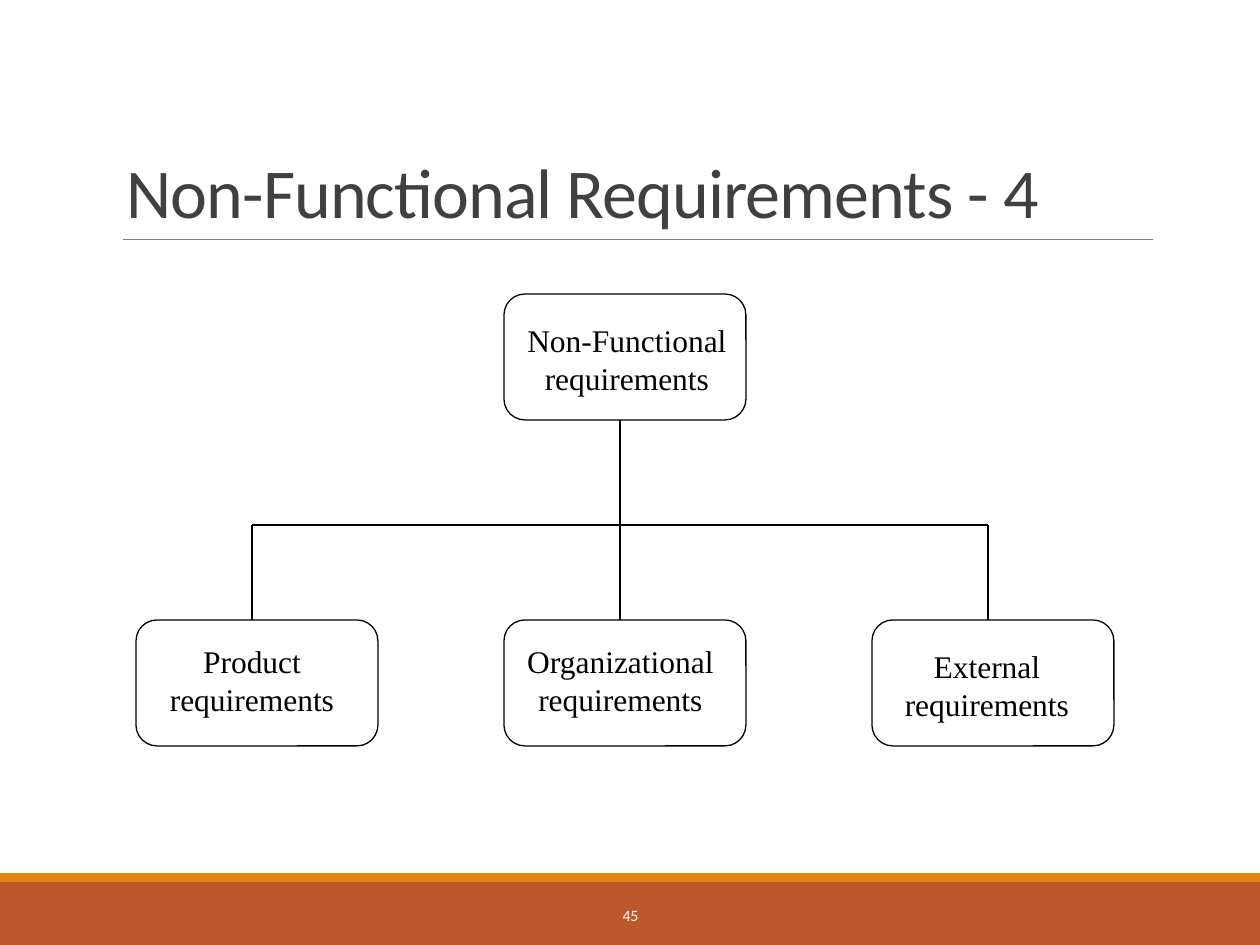
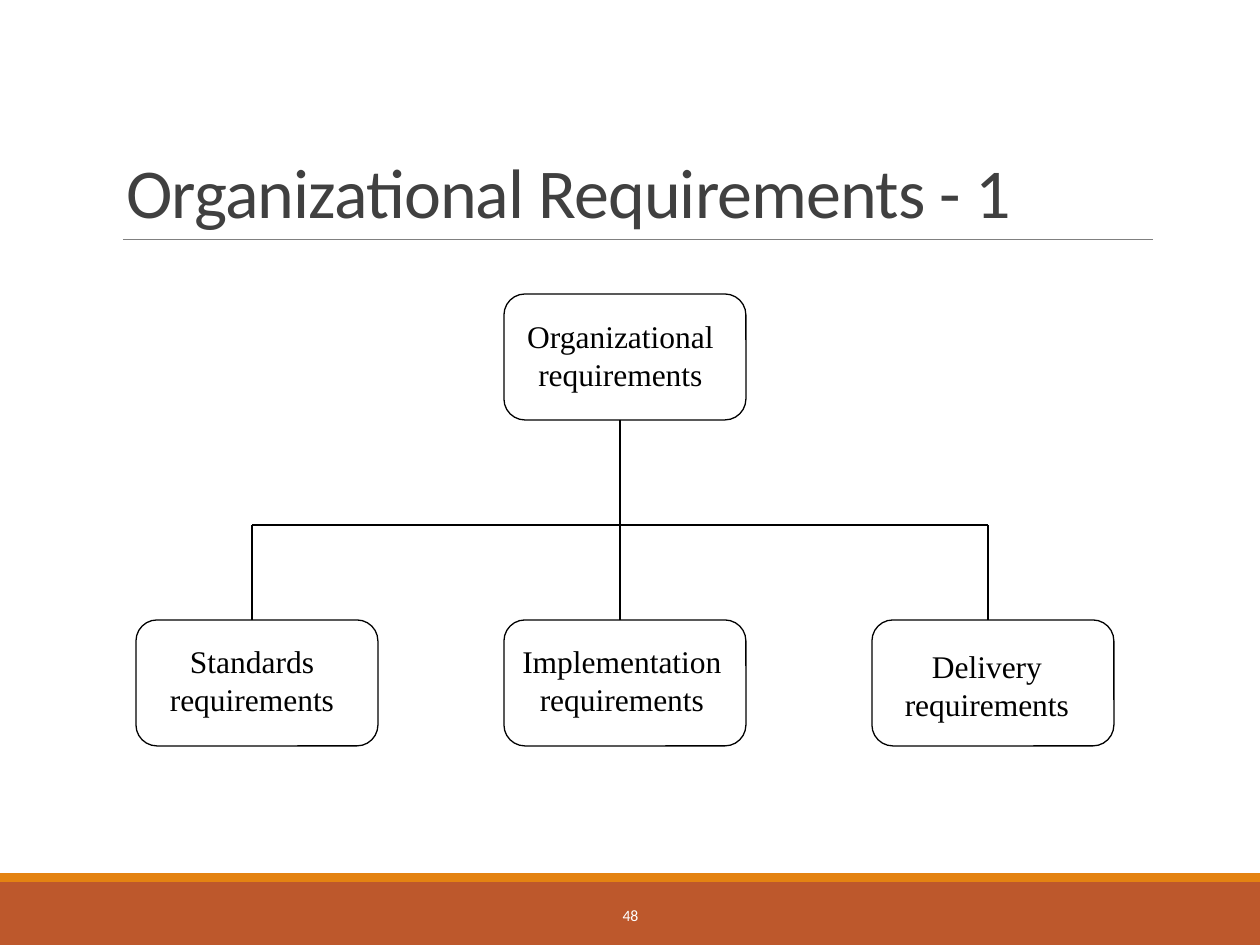
import pptx
import pptx.dml.color
import pptx.enum.shapes
import pptx.enum.text
import pptx.util
from lxml import etree
from pptx.oxml.ns import qn

RGBColor = pptx.dml.color.RGBColor
MSO_SHAPE = pptx.enum.shapes.MSO_SHAPE
MSO_ANCHOR = pptx.enum.text.MSO_ANCHOR
MSO_AUTO_SIZE = pptx.enum.text.MSO_AUTO_SIZE
PP_ALIGN = pptx.enum.text.PP_ALIGN

# Shared look
RUST = RGBColor(0xBD, 0x58, 0x2C)
ORANGE = RGBColor(0xE4, 0x83, 0x12)
GRAY = RGBColor(0x80, 0x80, 0x80)
DARK = RGBColor(0x40, 0x40, 0x40)
BLACK = RGBColor(0, 0, 0)
WHITE = RGBColor(0xFF, 0xFF, 0xFF)
HEADING_FONT = "Calibri"
LABEL_FONT = "Times New Roman"

PIXELS_PER_INCH = 126
SLIDE_WIDTH, SLIDE_HEIGHT = 1260, 945

# Tree geometry
BOX_WIDTH, BOX_HEIGHT = 242, 126
COLUMNS = [136 + 368 * column for column in range(3)]
ROOT_TOP, CHILD_TOP, BRANCH_Y = 294, 620, 525
STEM_OFFSET = 116  # stems run slightly left of each box's middle
LABEL_HEIGHT = 88


def px(length):
    return pptx.util.Emu(round(length * 914400 / PIXELS_PER_INCH))


def write_text(frame, text, font=HEADING_FONT, size=18, color=BLACK,
               align=PP_ALIGN.CENTER, anchor=MSO_ANCHOR.TOP, wrap=True,
               auto_size=MSO_AUTO_SIZE.NONE, line_spacing=None, tracking=None):
    """Fill a text frame, one paragraph for each line of the text."""
    frame.word_wrap = wrap
    frame.auto_size = auto_size
    frame.vertical_anchor = anchor
    for index, line in enumerate(text.split("\n")):
        paragraph = frame.add_paragraph() if index else frame.paragraphs[0]
        paragraph.alignment = align
        paragraph.line_spacing = line_spacing
        run = paragraph.add_run()
        run.text = line
        run.font.name = font
        run.font.size = pptx.util.Pt(size)
        run.font.color.rgb = color
        if tracking is not None:
            run._r.get_or_add_rPr().set("spc", str(round(tracking * 100)))


class Deck:
    def __init__(self):
        self.presentation = pptx.Presentation()
        self.presentation.slide_width = px(SLIDE_WIDTH)
        self.presentation.slide_height = px(SLIDE_HEIGHT)
        self.slide = None

    def start_slide(self, title, number):
        layout = self.presentation.slide_layouts.get_by_name("Title Only")
        self.slide = self.presentation.slides.add_slide(layout)
        # Footer bands and title rule
        self.box(0, 882, SLIDE_WIDTH, 63, fill=RUST)
        self.box(0, 873, SLIDE_WIDTH, 9, fill=ORANGE)
        self.line(123, 239, 1153, 239, color=GRAY, width=0.5)
        # Title and slide number
        self.title(title)
        self.text(str(number), 381, 890, 499, 50, size=9, color=WHITE,
                  anchor=MSO_ANCHOR.MIDDLE)

    def title(self, text):
        shape = self.slide.shapes.title
        shape.left, shape.top, shape.width, shape.height = map(px, (114, 39, 1040, 200))
        write_text(shape.text_frame, text, size=40, color=DARK, align=PP_ALIGN.LEFT,
                   anchor=MSO_ANCHOR.BOTTOM, line_spacing=0.85, tracking=-0.5)

    def text(self, text, left, top, width, height, **style):
        shape = self.slide.shapes.add_textbox(*map(px, (left, top, width, height)))
        write_text(shape.text_frame, text, **style)

    def box(self, left, top, width, height, kind=MSO_SHAPE.RECTANGLE,
            fill=None, outline=None):
        shape = self.slide.shapes.add_shape(kind, *map(px, (left, top, width, height)))
        shape.shadow.inherit = False
        if fill is None:
            shape.fill.background()
        else:
            shape.fill.solid()
            shape.fill.fore_color.rgb = fill
        if outline is None:
            shape.line.fill.background()
        else:
            shape.line.color.rgb = outline
            shape.line.width = pptx.util.Pt(0.75)

    def line(self, x1, y1, x2, y2, color=BLACK, width=0.75):
        connector = self.slide.shapes.add_connector(
            pptx.enum.shapes.MSO_CONNECTOR.STRAIGHT, *map(px, (x1, y1, x2, y2)))
        connector.line.color.rgb = color
        connector.line.width = pptx.util.Pt(width)
        etree.SubElement(connector._element.spPr, qn("a:effectLst"))

    def tree(self, labels):
        # Boxes: the root above the middle child
        corners = [(COLUMNS[1], ROOT_TOP)] + [(left, CHILD_TOP) for left in COLUMNS]
        for left, top in corners:
            self.box(left, top, BOX_WIDTH, BOX_HEIGHT,
                     kind=MSO_SHAPE.ROUNDED_RECTANGLE, outline=BLACK)
        # Branches
        first, middle, last = [left + STEM_OFFSET for left in COLUMNS]
        self.line(middle, ROOT_TOP + BOX_HEIGHT, middle, CHILD_TOP)
        for stem in (first, last):
            self.line(stem, CHILD_TOP, stem, BRANCH_Y)
        self.line(first, BRANCH_Y, last, BRANCH_Y)
        # Labels
        for word, left, top, width in labels:
            self.text(f"{word}\nrequirements", left, top, width, LABEL_HEIGHT,
                      font=LABEL_FONT, wrap=False,
                      auto_size=MSO_AUTO_SIZE.SHAPE_TO_FIT_TEXT)


# Title, slide number, then labels as word, left, top, width;
# each width leaves a little room beyond its longest word
SLIDES = [
    ("Non-Functional Requirements - 4", 45, [
        ("Non-Functional", 511, 315, 232),
        ("Product", 155, 636, 194),
        ("Organizational", 511, 636, 219),
        ("External", 890, 641, 194),
    ]),
    ("Organizational Requirements - 1", 48, [
        ("Organizational", 511, 311, 219),
        ("Standards", 155, 636, 194),
        ("Implementation", 506, 636, 232),
        ("Delivery", 890, 641, 194),
    ]),
]


def main():
    deck = Deck()
    for title, number, labels in SLIDES:
        deck.start_slide(title, number)
        deck.tree(labels)
    deck.presentation.save("out.pptx")


if __name__ == "__main__":
    main()
